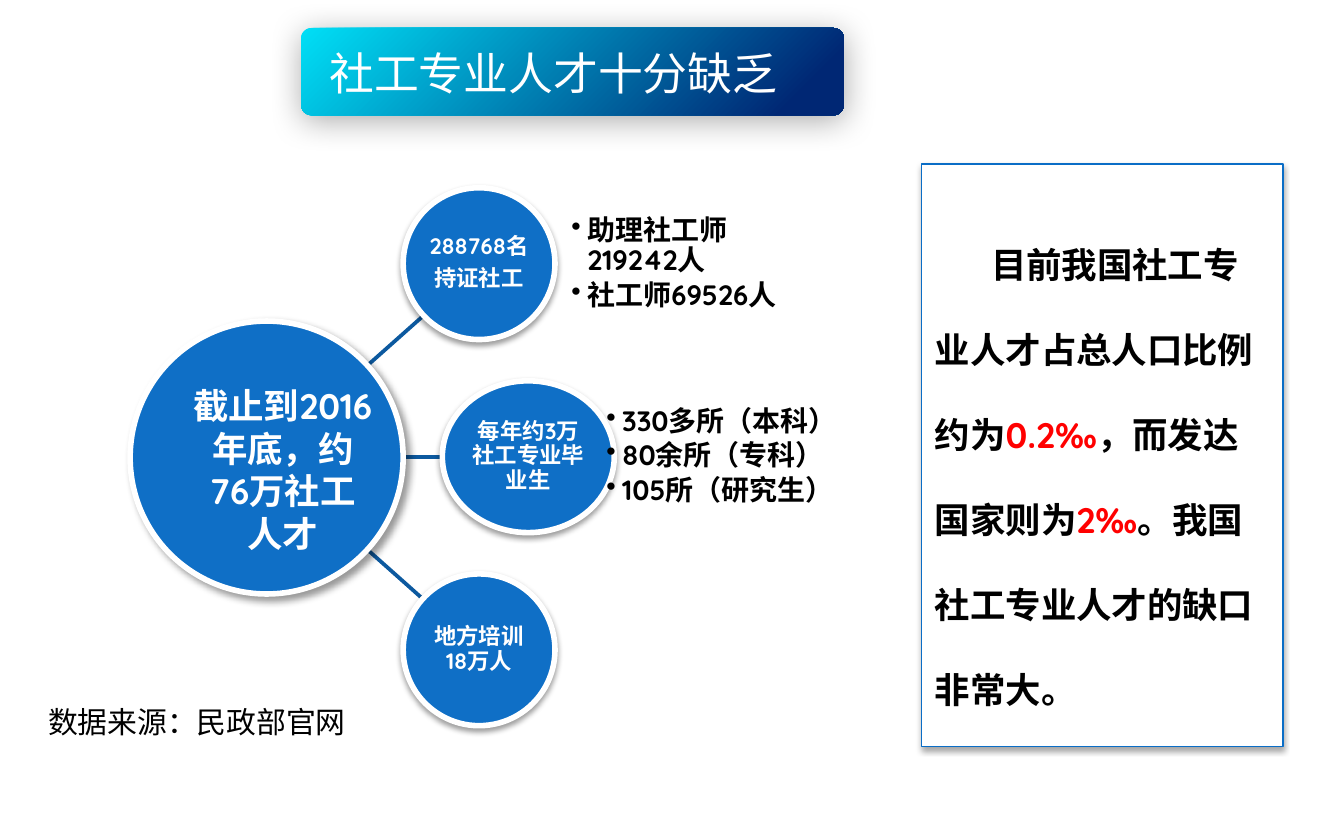
from lxml import etree
from pptx import Presentation
from pptx.dml.color import RGBColor
from pptx.enum.shapes import MSO_CONNECTOR, MSO_SHAPE
from pptx.enum.text import MSO_ANCHOR, MSO_AUTO_SIZE, PP_ALIGN
from pptx.oxml.ns import qn
from pptx.util import Cm, Pt

OVAL, RECTANGLE, ROUNDED = MSO_SHAPE.OVAL, MSO_SHAPE.RECTANGLE, MSO_SHAPE.ROUNDED_RECTANGLE
STRAIGHT = MSO_CONNECTOR.STRAIGHT
LEFT, CENTER = PP_ALIGN.LEFT, PP_ALIGN.CENTER
TOP, MIDDLE = MSO_ANCHOR.TOP, MSO_ANCHOR.MIDDLE


class Theme:
    font, east_asian_font = "Quicksand", "Noto Sans CJK SC"
    white, black = RGBColor(255, 255, 255), RGBColor(0, 0, 0)
    blue = RGBColor(0x0F, 0x6F, 0xC6)
    link = RGBColor(0x0C, 0x59, 0x9F)
    border = RGBColor(0x0A, 0x6D, 0xC6)
    red = RGBColor(255, 0, 0)
    banner = (RGBColor(0, 0xDF, 0xF6), RGBColor(0, 0x27, 0x74))
    title, large, source, detail, label = Pt(24), Pt(19), Pt(16), Pt(15), Pt(12)


def write(shape, lines, size, color, bold=True, align=LEFT, anchor=MIDDLE, inset=None,
          spacing=None, after=None, bullet=False, font=Theme.font):
    """Fill a shape with paragraphs, each a list of (text, color or None) runs."""
    frame = shape.text_frame
    frame.word_wrap = True
    frame.auto_size = MSO_AUTO_SIZE.NONE
    frame.vertical_anchor = anchor
    if inset is not None:
        frame.margin_left = frame.margin_right = frame.margin_top = frame.margin_bottom = inset
    for index, runs in enumerate(lines):
        paragraph = frame.paragraphs[0] if index == 0 else frame.add_paragraph()
        paragraph.alignment = align
        paragraph.line_spacing = spacing
        paragraph.space_after = after
        properties = paragraph._p.get_or_add_pPr()
        if bullet:
            properties.set("marL", str(Cm(0.3)))
            properties.set("indent", str(-Cm(0.3)))
            etree.SubElement(properties, qn("a:buChar"), char="•")
        paragraph.font.name = font
        paragraph.font.size = size
        paragraph.font.bold = bold
        paragraph.font.color.rgb = color
        east_asian = etree.SubElement(properties.find(qn("a:defRPr")), qn("a:ea"))
        east_asian.set("typeface", Theme.east_asian_font)
        for text, run_color in runs:
            run = paragraph.add_run()
            run.text = text
            if run_color is not None:
                run.font.color.rgb = run_color


def add_shadow(shape, opacity, blur, distance, angle):
    shape.shadow.inherit = False
    effects = shape._element.spPr.find(qn("a:effectLst"))
    shadow = etree.SubElement(effects, qn("a:outerShdw"), blurRad=str(Pt(blur)),
                              dist=str(Pt(distance)), dir=str(angle * 60000),
                              algn="ctr", rotWithShape="0")
    color = etree.SubElement(shadow, qn("a:srgbClr"), val=str(Theme.black))
    etree.SubElement(color, qn("a:alpha"), val=str(opacity * 1000))


presentation = Presentation()
presentation.slide_width, presentation.slide_height = Cm(25.4), Cm(15.88)
slide = presentation.slides.add_slide(presentation.slide_layouts[5])
shapes = slide.shapes

# Links from the hub to the three sources
for start_y, end_x, end_y in [(10.29, 8, 11.33), (8.64, 8.36, 8.64), (7.01, 8, 5.97)]:
    link = shapes.add_connector(STRAIGHT, Cm(6.83), Cm(start_y), Cm(end_x), Cm(end_y))
    link.line.color.rgb = Theme.link
    link.line.width = Pt(2)
    etree.SubElement(link._element.spPr, qn("a:effectLst"))

# Hub and source circles: left, top, width, height, label lines, shadow
SOURCE_TOP, SOURCE_PITCH, SOURCE_HEIGHT = 3.55, 3.65, 2.87
sources = [(7.62, 2.87, ["288768名", "持证社工"]),
           (8.36, 3.25, ["每年约3万社工专业毕业生"]),
           (7.62, 2.87, ["地方培训18万人"])]
circles = [(2.46, 6.07, 5.16, 5.16, [], (40, 4, 3, 45))]
for row, (left, width, label) in enumerate(sources):
    circles.append((left, SOURCE_TOP + row * SOURCE_PITCH, width, SOURCE_HEIGHT, label,
                    (38, 3.1, 1.6, 90)))
for left, top, width, height, label, shadow in circles:
    circle = shapes.add_shape(OVAL, Cm(left), Cm(top), Cm(width), Cm(height))
    circle.fill.solid()
    circle.fill.fore_color.rgb = Theme.blue
    circle.line.color.rgb = Theme.white
    circle.line.width = Pt(3)
    add_shadow(circle, *shadow)
    write(circle, [[(line, None)] for line in label], Theme.label, Theme.white,
          align=CENTER, inset=Cm(0.02), spacing=0.9, after=Pt(4.2))

# Hub text
hub_text = shapes.add_textbox(Cm(3.4), Cm(7.14), Cm(3.89), Cm(3.51))
write(hub_text, [[("截止到2016年底，约76万社工人才", None)]], Theme.large, Theme.white,
      align=CENTER, anchor=TOP)

# Details beside the first two circles
details = [(10.8, 4.32, ["助理社工师219242人", "社工师69526人"]),
           (11.46, 4.85, ["330多所（本科）", "80余所（专科）", "105所（研究生）"])]
for row, (left, width, items) in enumerate(details):
    detail = shapes.add_textbox(Cm(left), Cm(SOURCE_TOP + row * SOURCE_PITCH),
                                Cm(width), Cm(SOURCE_HEIGHT))
    write(detail, [[(item, None)] for item in items], Theme.detail, Theme.black,
          inset=0, spacing=0.9, after=Pt(2.25), bullet=True)

# Conclusion panel
panel = shapes.add_shape(RECTANGLE, Cm(17.42), Cm(3.1), Cm(6.83), Cm(11.02))
panel.fill.solid()
panel.fill.fore_color.rgb = Theme.white
panel.line.color.rgb = Theme.border
panel.line.width = Pt(0.75)
add_shadow(panel, 35, 3.1, 1.8, 90)
conclusion = [("目前我国社工专业人才占总人口比例约为", None), ("0.2‰", Theme.red),
              ("，而发达国家则为", None), ("2‰", Theme.red),
              ("。我国社工专业人才的缺口非常大。", None)]
write(panel, [conclusion], Theme.large, Theme.black, spacing=2.0)
panel.text_frame.paragraphs[0]._p.get_or_add_pPr().set("indent", str(Cm(1.06)))

# Data source
data_source = shapes.add_textbox(Cm(0.66), Cm(13.18), Cm(7.77), Cm(0.94))
write(data_source, [[("数据来源：民政部官网", None)]], Theme.source, Theme.black,
      bold=False, anchor=TOP)

# Title banner, with the title in front of it
banner = shapes.add_shape(ROUNDED, Cm(5.69), Cm(0.53), Cm(10.26), Cm(1.65))
banner.adjustments[0] = 0.12
banner.fill.gradient()
banner.fill.gradient_angle = 315
for stop, color, position in zip(banner.fill.gradient_stops, Theme.banner, (0, 0.9)):
    stop.color.rgb = color
    stop.position = position
banner.line.fill.background()
add_shadow(banner, 33, 17.8, 3, 87)

title = shapes.title
title.left, title.top, title.width, title.height = Cm(5.97), Cm(0.74), Cm(10.41), Cm(1.27)
write(title, [[("社工专业人才十分缺乏", None)]], Theme.title, Theme.white, bold=False,
      font=Theme.east_asian_font)
shapes._spTree.append(title._element)

presentation.save("out.pptx")
